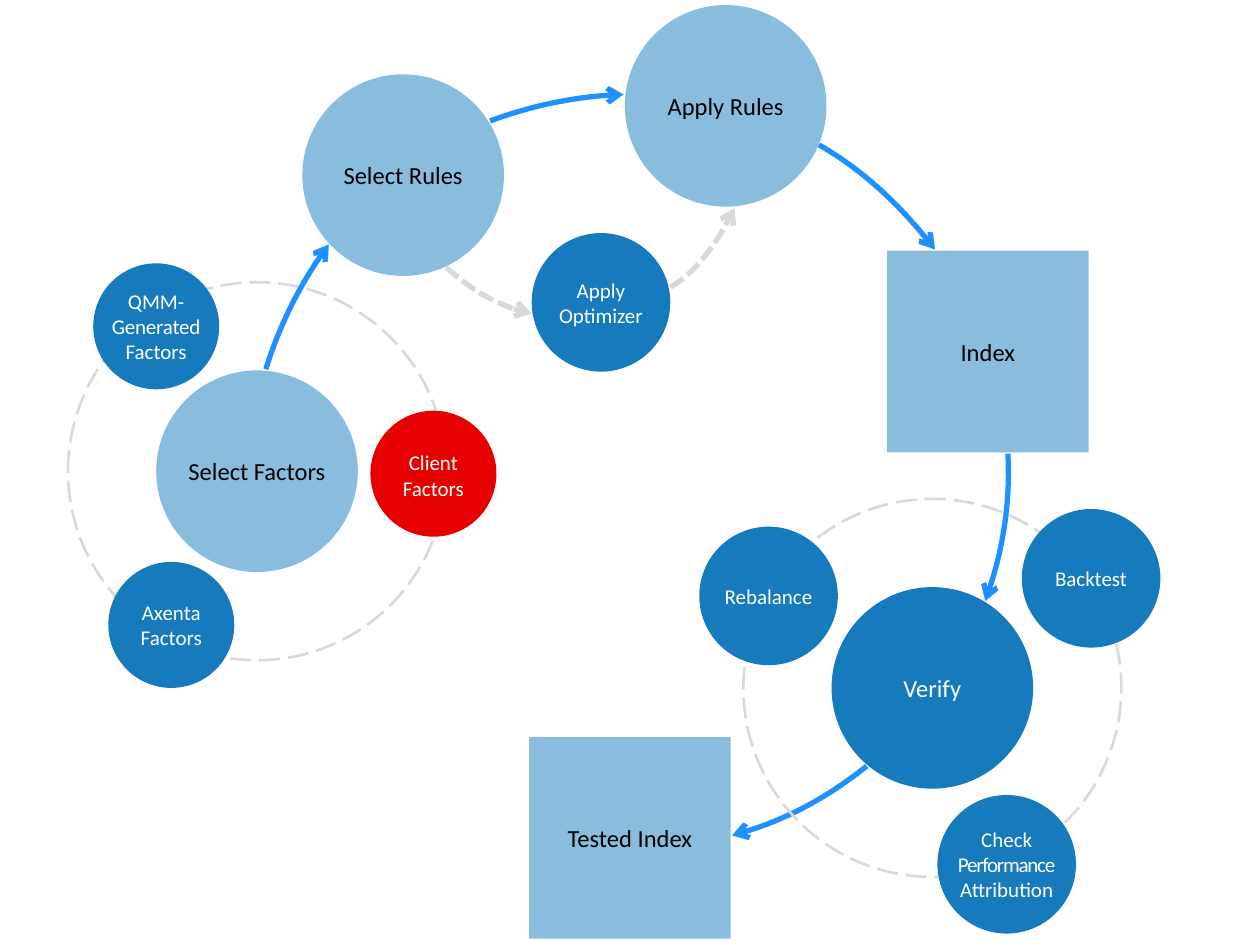
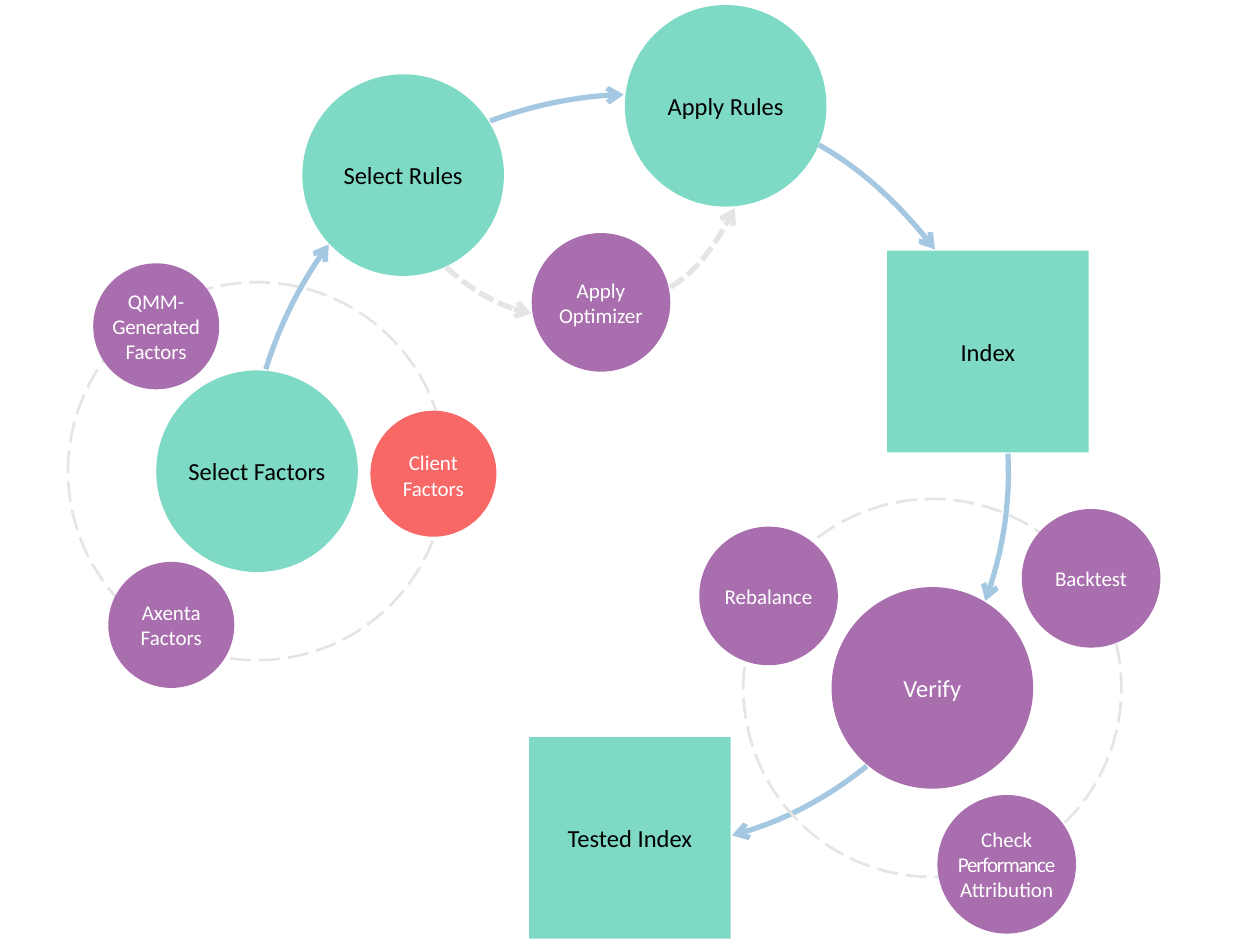
"""Two colour versions of an index building process."""
from lxml import etree
from pptx import Presentation, util as u
from pptx.dml.color import RGBColor
from pptx.enum import dml, shapes, text
from pptx.oxml.ns import qn

FONT = "Calibri"
WHITE, BLACK = "FFFFFF", "000000"
BIG, MID, SMALL, RING = 1.6, 1.1, 1, 3

# Each palette: main steps, sub-steps, client circle, arrows, dashed lines
BLUE = dict(main="177ABC", sub="177ABC", client="E60000",
            flow="1E90FF", dash="D9D9D9", tight=-0.1)
GREEN = dict(main="00B68D", sub="A96EAE", client="F86867",
             flow="A4C7E2", dash="E5E5E5", tight=-0.2)

# Main steps: label, left, top, is square
STEPS = [
    ("Select Rules", 2.4, 0.59, False),
    ("Index", 7.04, 1.99, True),
    ("Tested Index", 4.2, 5.85, True),
    ("Select Factors", 1.24, 2.94, False),
    ("Apply Rules", 4.96, 0.04, False),
]
# Arrows: start, halfway point, end
FLOWS = [
    ((2.11, 2.93), (2.32, 2.41), (2.61, 1.94)),
    ((3.89, 0.96), (4.42, 0.81), (4.95, 0.75)),
    ((6.5, 1.15), (6.98, 1.5), (7.42, 1.98)),
    ((8, 3.6), (7.97, 4.19), (7.82, 4.77)),
    ((6.88, 6.08), (6.36, 6.42), (5.81, 6.63)),
]
DETOURS = [
    ((5.32, 2.28), (5.59, 2.04), (5.83, 1.65)),
    ((3.54, 2.12), (3.87, 2.36), (4.22, 2.49)),
]


def rgb(code):
    """Turn a hex string into a colour."""
    return RGBColor.from_string(code)


def write(frame, runs, size=12, color=WHITE):
    """Fill a frame with centred text; runs hold (text, size, spacing)."""
    frame.word_wrap = True
    frame.vertical_anchor = text.MSO_ANCHOR.MIDDLE
    frame.margin_left = frame.margin_right = 0
    frame.margin_top = frame.margin_bottom = 0
    para = frame.paragraphs[0]
    para.alignment = text.PP_ALIGN.CENTER
    if isinstance(runs, str):
        runs = [(runs, size, 0)]
    for words, points, space in runs:
        run = para.add_run()
        run.text = words
        run.font.name = FONT
        run.font.size = u.Pt(points)
        run.font.color.rgb = rgb(color)
        if space:
            run.font._element.set("spc", str(round(space * 100)))


def bend(start, half, end, count=12):
    """List points, as lengths, on the curve through three points."""
    pull = [2 * h - (s + e) / 2 for s, h, e in zip(start, half, end)]
    steps = [n / count for n in range(count + 1)]
    return [tuple(u.Inches((1 - t) ** 2 * s + 2 * t * (1 - t) * p + t * t * e)
                  for s, p, e in zip(start, pull, end)) for t in steps]


class Chart:
    """One slide of the process with its palette."""

    def __init__(self, deck, look):
        """Add a blank slide with one group to draw in."""
        slide = deck.slides.add_slide(deck.slide_layouts[6])
        self.look = look
        self.group = slide.shapes.add_group_shape().shapes

    def shape(self, left, top, size, square=False):
        """Add a plain circle or square."""
        kind = shapes.MSO_SHAPE.RECTANGLE if square else shapes.MSO_SHAPE.OVAL
        item = self.group.add_shape(kind, u.Inches(left), u.Inches(top),
                                    u.Inches(size), u.Inches(size))
        item.shadow.inherit = False
        return item

    def ring(self, left, top):
        """Add a large dashed circle."""
        item = self.shape(left, top, RING)
        item.fill.background()
        item.line.color.rgb = rgb(self.look["dash"])
        item.line.width = u.Pt(1.5)
        item.line.dash_style = dml.MSO_LINE.LONG_DASH

    def node(self, label, left, top, size=SMALL, role="sub", points=12):
        """Add a solid circle with white text."""
        item = self.shape(left, top, size)
        item.fill.solid()
        item.fill.fore_color.rgb = rgb(self.look[role])
        item.line.fill.background()
        write(item.text_frame, label, size=points)

    def step(self, label, left, top, square):
        """Add a half transparent main step with black text."""
        item = self.shape(left, top, BIG, square)
        item.fill.solid()
        item.fill.fore_color.rgb = rgb(self.look["main"])
        tone = item._element.spPr.find(".//" + qn("a:srgbClr"))
        etree.SubElement(tone, qn("a:alpha"), val="50000")
        item.line.fill.background()
        write(item.text_frame, label, size=14, color=BLACK)

    def arrow(self, start, half, end, role="flow"):
        """Add a curved arrow, dashed for a detour."""
        first, *rest = bend(start, half, end)
        curve = self.group.build_freeform(*first)
        curve.add_line_segments(rest, close=False)
        item = curve.convert_to_shape()
        item.shadow.inherit = False
        item.fill.background()
        item.line.color.rgb = rgb(self.look[role])
        item.line.width = u.Pt(3)
        if role == "dash":
            item.line.dash_style = dml.MSO_LINE.SQUARE_DOT
        line = item._element.spPr.find(qn("a:ln"))
        etree.SubElement(line, qn("a:tailEnd"), type="arrow")

    def draw(self):
        """Draw the whole process from back to front."""
        self.ring(0.54, 2.24)
        self.node("Axenta Factors", 0.86, 4.46)
        self.node("Apply Optimizer", 4.22, 1.85, MID)
        self.node("Verify", 6.6, 4.66, BIG, points=14)
        for step in STEPS:
            self.step(*step)
        self.node([("QMM-", 12, 0), ("Generated", 12, self.look["tight"]),
                   (" Factors", 12, 0)], 0.74, 2.09)
        self.node([("Client", 12, 0), (" ", 14, 0), ("Factors", 12, 0)],
                  2.94, 3.26, role="client")
        for points in FLOWS:
            self.arrow(*points)
        for points in DETOURS:
            self.arrow(*points, role="dash")
        self.ring(5.9, 3.96)
        self.node("Rebalance", 5.55, 4.18, MID)
        self.node([("Check ", 12, 0), ("Performance", 12, -0.7),
                   (" Attribution", 12, 0)], 7.44, 6.31, MID)
        self.node("Backtest", 8.11, 4.04, MID)


def main():
    """Build both versions and save them."""
    deck = Presentation()
    deck.slide_width, deck.slide_height = u.Inches(10), u.Inches(7.5)
    for look in (BLUE, GREEN):
        Chart(deck, look).draw()
    deck.save("out.pptx")


main()
